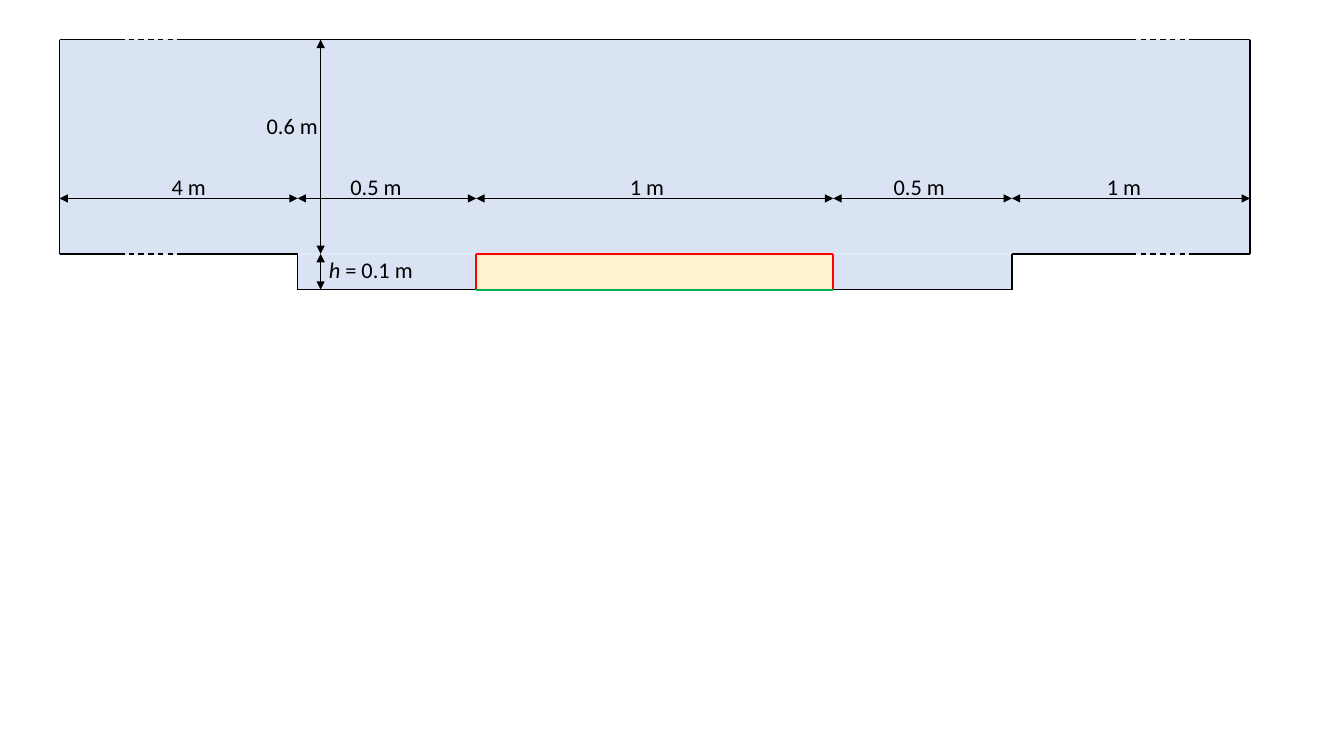
import pptx
import pptx.util
import pptx.dml.color
import pptx.enum.dml
import pptx.enum.shapes
import pptx.enum.text
import lxml.etree

Cm, Pt = pptx.util.Cm, pptx.util.Pt

# Content: lengths in cm
HUES = {"ink": "000000", "air": "DAE3F3", "rim": "DEEBF7",
        "block": "FFF2CC", "red": "FF0000", "green": "00B050"}
TOP, SPAN, STEP, BASE = 1, 5, 6.4, 7.3      # levels
LEFT, PIT, NEAR, FAR, REAR, RIGHT = 1.5, 7.5, 12, 21, 25.5, 31.5
CUTS = [(3, 4.5), (28.5, 30)]               # dashed breaks
RISE = 8.08                                 # upright arrows
WIDE, HIGH = 2.95, 0.94                     # label box

RECTS = [
    (NEAR, STEP, FAR, BASE, "block", None),
    (FAR, STEP, REAR, BASE, "air", "air"),
    (PIT, STEP, NEAR, BASE, "air", "air"),
    (LEFT, TOP, RIGHT, STEP, "air", "rim"),
]
WALLS = [
    (LEFT, TOP, LEFT, STEP), (RIGHT, TOP, RIGHT, STEP),
    (PIT, STEP, PIT, BASE), (REAR, STEP, REAR, BASE),
    (PIT, BASE, NEAR, BASE), (FAR, BASE, REAR, BASE),
]
EDGES = [
    (NEAR, STEP, NEAR, BASE, "red"), (FAR, STEP, FAR, BASE, "red"),
    (NEAR, STEP, FAR, STEP, "red"), (NEAR, BASE, FAR, BASE, "green"),
]
LABELS = [                                  # left, top, runs (text, italic)
    (7.87, 6.32, [("h", True), (" = 0.1 m", False)]),
    (3.28, 4.24, [("4 m", False)]),
    (8, 4.24, [("0.5 m", False)]),
    (14.83, 4.24, [("1 m", False)]),
    (21.69, 4.24, [("0.5 m", False)]),
    (26.85, 4.24, [("1 m", False)]),
    (5.89, 2.69, [("0.6 m", False)]),
]

deck = pptx.Presentation()
deck.slide_width, deck.slide_height = Cm(33.87), Cm(19.05)
slide = deck.slides.add_slide(deck.slide_layouts[6])


def hue(name):
    return pptx.dml.color.RGBColor.from_string(HUES[name])


def rect(x1, y1, x2, y2, fill, rim):
    box = slide.shapes.add_shape(pptx.enum.shapes.MSO_SHAPE.RECTANGLE,
                                 Cm(x1), Cm(y1), Cm(x2 - x1), Cm(y2 - y1))
    box.shadow.inherit = False
    box.fill.solid()
    box.fill.fore_color.rgb = hue(fill)
    if rim:
        box.line.color.rgb = hue(rim)
        box.line.width = Pt(1)
    else:
        box.line.fill.background()


def line(x1, y1, x2, y2, color="ink", width=1, dash=False, heads=False):
    link = slide.shapes.add_connector(
        pptx.enum.shapes.MSO_CONNECTOR.STRAIGHT, Cm(x1), Cm(y1), Cm(x2), Cm(y2))
    link.line.color.rgb = hue(color)
    link.line.width = Pt(width)
    if dash:
        link.line.dash_style = pptx.enum.dml.MSO_LINE.DASH
    props = link._element.spPr
    ns = "{" + props.nsmap["a"] + "}"
    if heads:
        for end in ("headEnd", "tailEnd"):
            lxml.etree.SubElement(props.find(ns + "ln"), ns + end, type="triangle")
    lxml.etree.SubElement(props, ns + "effectLst")


def label(x, y, runs, size=16, font="Calibri", color="ink"):
    box = slide.shapes.add_textbox(Cm(x), Cm(y), Cm(WIDE), Cm(HIGH))
    frame = box.text_frame
    frame.word_wrap = True
    frame.auto_size = pptx.enum.text.MSO_AUTO_SIZE.SHAPE_TO_FIT_TEXT
    para = frame.paragraphs[0]
    para.alignment = pptx.enum.text.PP_ALIGN.CENTER
    for text, slant in runs:
        run = para.add_run()
        run.text = text
        run.font.size, run.font.name = Pt(size), font
        run.font.italic = slant
        run.font.color.rgb = hue(color)


# Areas
for area in RECTS:
    rect(*area)

# Walls, with the long sides broken by dashes
for wall in WALLS:
    line(*wall)
(a, b), (c, d) = CUTS
for y, parts in ((TOP, [(LEFT, a), (b, c), (d, RIGHT)]),
                 (STEP, [(LEFT, a), (b, PIT), (REAR, c), (d, RIGHT)])):
    for x1, x2 in parts:
        line(x1, y, x2, y)
    for x1, x2 in CUTS:
        line(x1, y, x2, y, dash=True)

# Block outline
for x1, y1, x2, y2, color in EDGES:
    line(x1, y1, x2, y2, color, width=1.5)

# Dimension arrows
stops = [LEFT, PIT, NEAR, FAR, REAR, RIGHT]
for x1, x2 in zip(stops, stops[1:]):
    line(x1, SPAN, x2, SPAN, heads=True)
for y1, y2 in ((TOP, STEP), (STEP, BASE)):
    line(RISE, y1, RISE, y2, heads=True)

# Labels
for x, y, runs in LABELS:
    label(x, y, runs)

deck.save("out.pptx")
